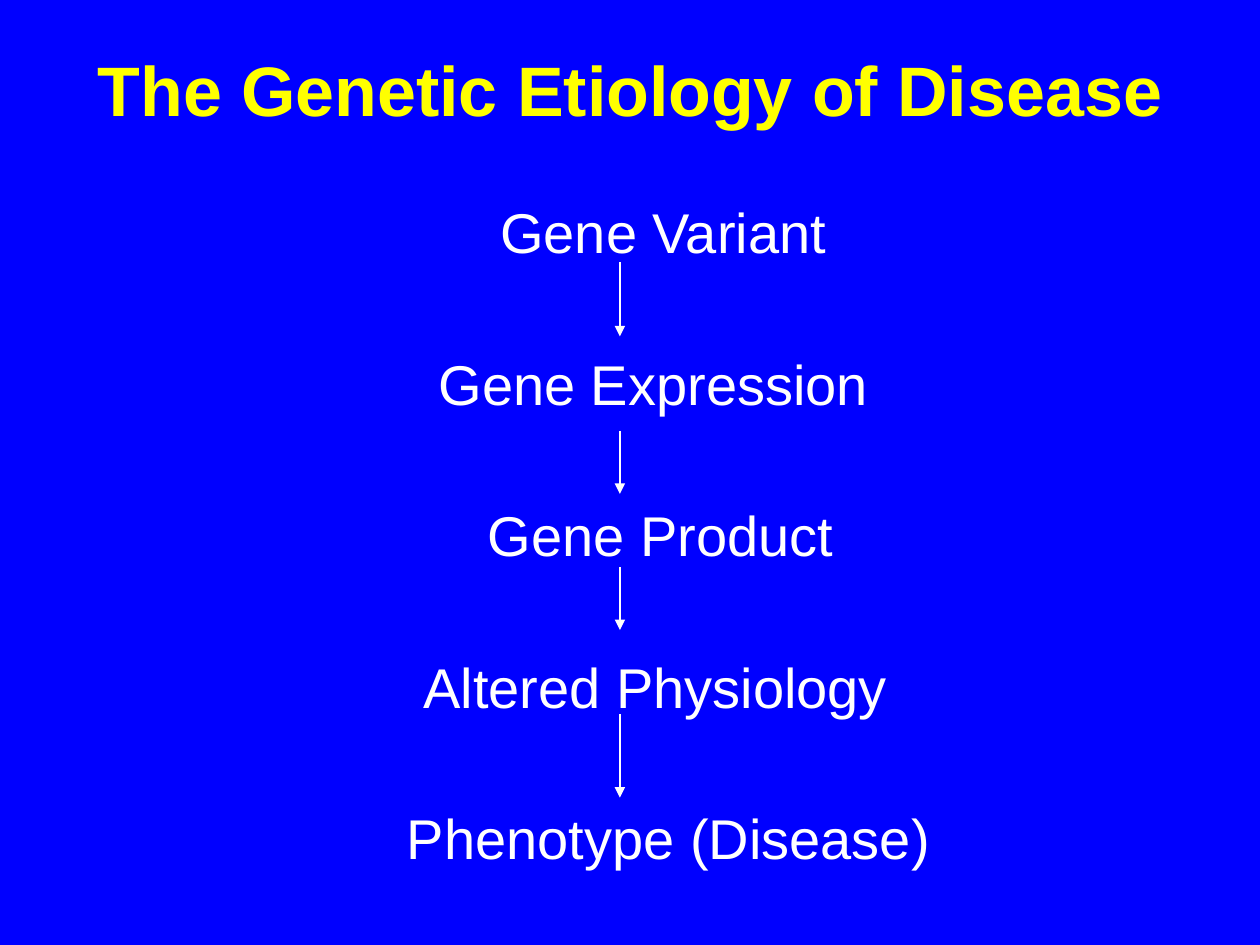
from dataclasses import dataclass

from lxml import etree
from pptx import Presentation
from pptx.dml.color import RGBColor
from pptx.enum.dml import MSO_LINE
from pptx.enum.shapes import MSO_CONNECTOR
from pptx.enum.text import MSO_ANCHOR, MSO_AUTO_SIZE, PP_ALIGN
from pptx.oxml.ns import qn
from pptx.util import Inches, Pt

STRAIGHT = MSO_CONNECTOR.STRAIGHT
SOLID = MSO_LINE.SOLID
MIDDLE, TOP = MSO_ANCHOR.MIDDLE, MSO_ANCHOR.TOP
NO_AUTOFIT = MSO_AUTO_SIZE.NONE
CENTER, LEFT = PP_ALIGN.CENTER, PP_ALIGN.LEFT


@dataclass(frozen=True)
class Theme:
    font: str = "Arial"
    background: RGBColor = RGBColor(0x00, 0x00, 0xFF)
    heading: RGBColor = RGBColor(0xFF, 0xFF, 0x00)
    text: RGBColor = RGBColor(0xFF, 0xFF, 0xFF)
    heading_size: Pt = Pt(40)
    text_size: Pt = Pt(32)
    stage_gap: Pt = Pt(52)
    arrow_width: Pt = Pt(0.75)


THEME = Theme()
STAGES = [
    ("Gene Variant", 3.45),
    ("Gene Expression", 2.96),
    ("Gene Product", 3.35),
    ("Altered Physiology", 2.84),
    ("Phenotype (Disease)", 2.71),
]
ARROW_X = 4.92
ARROW_SPANS = [(2.08, 2.67), (3.42, 3.92), (4.5, 5), (5.67, 6.33)]


def place(placeholder, left, top, width, height, anchor):
    placeholder.left, placeholder.top = Inches(left), Inches(top)
    placeholder.width, placeholder.height = Inches(width), Inches(height)
    frame = placeholder.text_frame
    frame.word_wrap = True
    frame.auto_size = NO_AUTOFIT
    frame.vertical_anchor = anchor
    return frame


def style(paragraph, size, color, bold, alignment):
    paragraph.alignment = alignment
    paragraph.font.name = THEME.font
    paragraph.font.size = size
    paragraph.font.bold = bold
    paragraph.font.color.rgb = color


def add_heading(slide, text):
    frame = place(slide.shapes.title, 0.5, 0.08, 9, 1.25, MIDDLE)
    frame.text = text
    style(frame.paragraphs[0], THEME.heading_size, THEME.heading, True, CENTER)


def add_stages(slide, stages):
    frame = place(slide.placeholders[1], 0.42, 1.58, 9, 5.37, TOP)
    frame.text = "\n".join(name for name, _ in stages)
    for position, (paragraph, (_, indent)) in enumerate(zip(frame.paragraphs, stages)):
        properties = paragraph._p.get_or_add_pPr()
        properties.set("marL", str(Inches(indent)))
        properties.set("indent", "0")
        etree.SubElement(properties, qn("a:buNone"))
        paragraph.line_spacing = 0.9
        paragraph.space_before = THEME.stage_gap if position else Pt(0)
        style(paragraph, THEME.text_size, THEME.text, False, LEFT)


def add_arrow(slide, x, start, end):
    arrow = slide.shapes.add_connector(
        STRAIGHT, Inches(x), Inches(start), Inches(x), Inches(end)
    )
    arrow.line.color.rgb = THEME.text
    arrow.line.width = THEME.arrow_width
    arrow.line.dash_style = SOLID
    properties = arrow._element.spPr
    etree.SubElement(properties.find(qn("a:ln")), qn("a:tailEnd"), type="triangle")
    etree.SubElement(properties, qn("a:effectLst"))


def main():
    deck = Presentation()
    deck.slide_width, deck.slide_height = Inches(10), Inches(7.5)
    slide = deck.slides.add_slide(deck.slide_layouts[1])
    slide.background.fill.solid()
    slide.background.fill.fore_color.rgb = THEME.background
    add_heading(slide, "The Genetic Etiology of Disease")
    add_stages(slide, STAGES)
    for start, end in ARROW_SPANS:
        add_arrow(slide, ARROW_X, start, end)
    deck.save("out.pptx")


if __name__ == "__main__":
    main()
